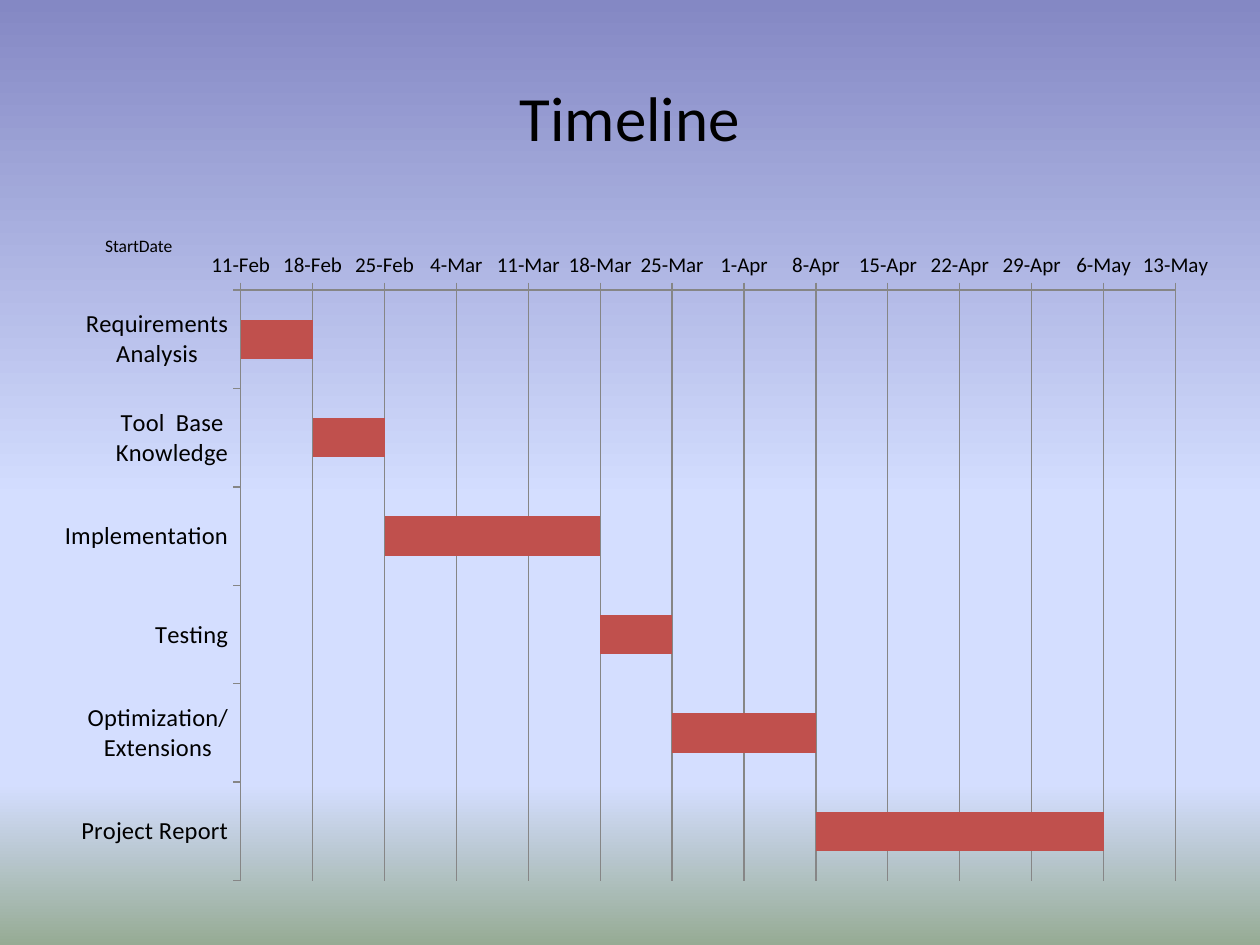
import copy
from dataclasses import dataclass

import lxml.etree
import pptx
import pptx.chart.data
import pptx.dml.color
import pptx.enum.chart
import pptx.enum.text
import pptx.oxml
import pptx.oxml.ns
import pptx.util
from pptx.util import Cm

qn = pptx.oxml.ns.qn
ALIGN = pptx.enum.text.PP_ALIGN
TICK = pptx.enum.chart.XL_TICK_MARK

START = 41681  # 11-Feb as a serial date
WEEK = 7
WEEKS = 13
TASKS = [
    ("Requirements Analysis", 1),
    ("Tool  Base Knowledge", 1),
    ("Implementation", 3),
    ("Testing", 1),
    ("Optimization/Extensions", 2),
    ("Project Report", 4),
]


@dataclass(frozen=True)
class Theme:
    font: str = "Calibri"
    ink: str = "000000"
    bar: str = "C0504D"
    line: str = "868686"
    sky: tuple = ((0, "8488C4"), (53, "D4DEFF"), (83, "D4DEFF"), (100, "96AB94"))
    title: int = 36
    task: int = 14
    date: int = 12
    note: int = 10


def rgb(code):
    return pptx.dml.color.RGBColor.from_string(code)


def style(font, theme, size):
    font.name = theme.font
    font.size = pptx.util.Pt(size)
    font.color.rgb = rgb(theme.ink)


def write(frame, text, theme, size, align=ALIGN.LEFT):
    """Fill a frame with one line, set midway with no margins."""
    frame.word_wrap = True
    frame.vertical_anchor = pptx.enum.text.MSO_ANCHOR.MIDDLE
    frame.margin_left = frame.margin_right = 0
    frame.margin_top = frame.margin_bottom = 0
    line = frame.paragraphs[0]
    line.alignment = align
    run = line.add_run()
    run.text = text
    style(run.font, theme, size)


def place(chart, x, y, w, h):
    """Fix the inner plot area, in shares of the chart."""
    plot = chart._chartSpace.find(".//" + qn("c:plotArea"))
    for old in plot.findall(qn("c:layout")):
        plot.remove(old)
    layout = lxml.etree.Element(qn("c:layout"))
    manual = lxml.etree.SubElement(layout, qn("c:manualLayout"))
    parts = dict(layoutTarget="inner", xMode="edge", yMode="edge", x=x, y=y, w=w, h=h)
    for name, val in parts.items():
        lxml.etree.SubElement(manual, qn("c:" + name)).set("val", str(val))
    plot.insert(0, layout)


class Deck:
    def __init__(self, theme):
        self.theme = theme
        self.show = pptx.Presentation()
        self.show.slide_width, self.show.slide_height = Cm(25.4), Cm(19.05)
        self.slide = self.show.slides.add_slide(self.show.slide_layouts[6])

    def paint(self, stops):
        """Give the slide a gradient from top to bottom."""
        fill = self.slide.background.fill
        fill.gradient()
        fill.gradient_angle = 270
        group = self.slide._element.find(".//" + qn("a:gsLst"))
        first = copy.deepcopy(group[0])
        for old in list(group):
            group.remove(old)
        for _ in stops:
            group.append(copy.deepcopy(first))
        for stop, (share, code) in zip(fill.gradient_stops, stops):
            stop.position = share / 100
            stop.color.rgb = rgb(code)

    def text(self, words, x, y, w, h, **form):
        box = self.slide.shapes.add_textbox(Cm(x), Cm(y), Cm(w), Cm(h))
        write(box.text_frame, words, self.theme, **form)

    def axis(self, axis, size):
        axis.major_tick_mark = TICK.OUTSIDE
        axis.minor_tick_mark = TICK.NONE
        axis.format.line.color.rgb = rgb(self.theme.line)
        style(axis.tick_labels.font, self.theme, size)

    def gantt(self, tasks, x, y, w, h):
        """Stack bars on clear ones that reach to each start date."""
        spans = [WEEK * weeks for _, weeks in tasks]
        starts = [START + sum(spans[:i]) for i in range(len(spans))]
        data = pptx.chart.data.CategoryChartData()
        data.categories = [name for name, _ in tasks]
        data.add_series("Series 1", starts)
        data.add_series("Duration", spans)
        kind = pptx.enum.chart.XL_CHART_TYPE.BAR_STACKED
        chart = self.slide.shapes.add_chart(
            kind, Cm(x), Cm(y), Cm(w), Cm(h), data).chart
        chart.has_title = chart.has_legend = False
        style(chart.font, self.theme, self.theme.note)

        plot = chart.plots[0]
        plot.vary_by_categories = False
        plot.overlap, plot.gap_width = 100, 150
        base, bars = plot.series
        base.format.fill.background()
        bars.format.fill.solid()
        bars.format.fill.fore_color.rgb = rgb(self.theme.bar)

        self.axis(chart.category_axis, self.theme.task)
        chart.category_axis.reverse_order = True

        dates = chart.value_axis
        self.axis(dates, self.theme.date)
        dates.minimum_scale = START
        dates.maximum_scale = START + WEEKS * WEEK
        dates.major_unit = WEEK
        dates.has_major_gridlines = True
        dates.major_gridlines.format.line.color.rgb = rgb(self.theme.line)
        dates.tick_labels.number_format = r"[$-409]d\-mmm;@"
        dates.tick_labels.number_format_is_linked = False
        place(chart, 0.175, 0.166, 0.781, 0.804)


def main():
    theme = Theme()
    deck = Deck(theme)
    deck.paint(theme.sky)
    deck.text("Timeline", 1.27, 0.76, 22.86, 3.18,
              size=theme.title, align=ALIGN.CENTER)
    deck.gantt(TASKS, 0.63, 3.39, 24.13, 14.81)
    deck.text("StartDate", 2.12, 4.69, 2, 0.5, size=theme.note)
    deck.show.save("out.pptx")


if __name__ == "__main__":
    main()
